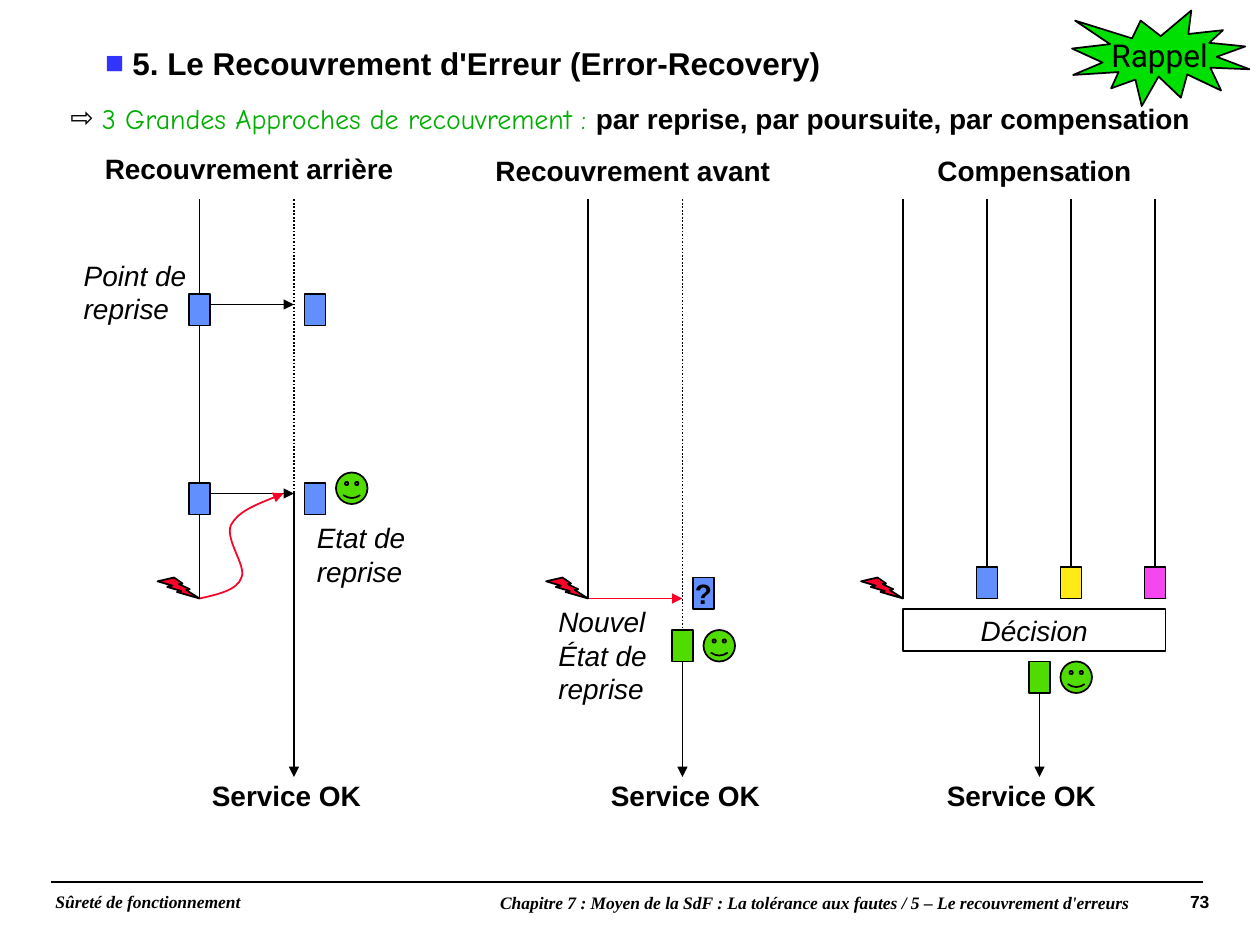
"""Build the slide that compares three error-recovery approaches."""
from lxml import etree
from pptx import Presentation
from pptx import util as u
from pptx.dml.color import RGBColor
from pptx.enum import dml, shapes, text
from pptx.oxml.ns import qn

PX = 7620
BLACK, RED, BLUE, GREEN = "000000", "FC0128", "618FFD", "51DC00"
BOLD, ITALIC = {"bold": True}, {"italic": True}
FOOTER = {"name": "Times New Roman", "size": u.Pt(10), "bold": True, "italic": True}
kind = shapes.MSO_SHAPE
colour = RGBColor.from_string


def px(*lengths):
    return [u.Emu(length * PX) for length in lengths]


def write(para, words, look, ink=BLACK):
    span = para.add_run()
    span.text = words
    for key, value in {"name": "Arial", "size": u.Pt(16), "bold": False, **look}.items():
        setattr(span.font, key, value)
    span.font.color.rgb = colour(ink)


deck = Presentation()
deck.slide_width, deck.slide_height = px(1200, 900)
page = deck.slides.add_slide(deck.slide_layouts[1])
title = page.shapes.title._element
title.getparent().remove(title)

body = page.placeholders[1]
body.left, body.top, body.width, body.height = px(37, 37, 1163, 98)
frame = body.text_frame
frame.auto_size = text.MSO_AUTO_SIZE.NONE
frame.vertical_anchor = text.MSO_ANCHOR.TOP
for side in ("left", "top", "right", "bottom"):
    setattr(frame, f"margin_{side}", px(5)[0])
heading, approaches = frame.paragraphs[0], frame.add_paragraph()
approaches.level = 1
for para, bullet, ink, margin, hang, before, after in [
    (heading, "■", "3333FF", 84, 26, 0, 4),
    (approaches, "⇨", BLACK, 55, 30, 7, 0),
]:
    props = para._p.get_or_add_pPr()
    props.set("marL", str(margin * PX))
    props.set("indent", str(-hang * PX))
    tint = etree.SubElement(props, qn("a:buClr"))
    etree.SubElement(tint, qn("a:srgbClr"), val=ink)
    etree.SubElement(props, qn("a:buFont"), typeface="Arial")
    etree.SubElement(props, qn("a:buChar"), char=bullet)
    para.space_before, para.space_after = u.Pt(before), u.Pt(after)
write(heading, "5. Le Recouvrement d'Erreur (Error-Recovery)", {"size": u.Pt(18), "bold": True})
write(approaches, "3 Grandes Approches de recouvrement : ", {"name": "Comic Neue"}, "00AE00")
write(approaches, "par reprise, par poursuite, par compensation", BOLD)

versions = [(940, BLUE), (1020, "FFEA18"), (1100, "F547EF")]
lines = [
    (49, 840, 1146, 840, BLACK, False, False),
    (280, 190, 280, 470, BLACK, True, False),
    (650, 190, 650, 610, BLACK, True, False),
    (200, 290, 280, 290, BLACK, False, True),
    (200, 470, 280, 470, BLACK, False, True),
    (560, 570, 650, 570, RED, False, True),
]
lines += [(x, 190, x, 570, BLACK, False, False) for x in (190, 560, 860)]
lines += [(x, top, x, 740, BLACK, False, True) for x, top in ((280, 470), (650, 610), (990, 640))]
lines += [(x, 190, x, 570, BLACK, False, False) for x, _ in versions]
connectors = {}
for left, top, right, bottom, ink, dotted, arrow in lines:
    line = page.shapes.add_connector(
        shapes.MSO_CONNECTOR.STRAIGHT, *px(left, top, right, bottom))
    line.line.color.rgb = colour(ink)
    line.line.width = u.Pt(1)
    if dotted:
        line.line.dash_style = dml.MSO_LINE.ROUND_DOT
    props = line._element.spPr
    if arrow:
        etree.SubElement(props.find(qn("a:ln")), qn("a:tailEnd"), type="triangle")
    etree.SubElement(props, qn("a:effectLst"))
    connectors[left, bottom] = line

builder = page.shapes.build_freeform(190, 570, scale=PX)
builder.add_line_segments([
    (208, 566), (226, 562), (230, 550), (235, 539), (214, 514), (220, 500),
    (227, 487), (248, 479), (270, 470)], close=False)
rollback = builder.convert_to_shape()
rollback.shadow.inherit = False
rollback.fill.background()
rollback.line.color.rgb = colour(RED)
rollback.line.width = u.Pt(1)
etree.SubElement(rollback._element.spPr.find(qn("a:ln")), qn("a:tailEnd"), type="triangle")
steps = rollback._element.xpath(".//a:lnTo")
outline = steps[0].getparent()
for index, step in enumerate(steps):
    if index % 3 == 0:
        curve = etree.SubElement(outline, qn("a:cubicBezTo"))
    curve.append(step[0])
    outline.remove(step)

states = [(180, 280, BLUE), (180, 460, BLUE), (290, 280, BLUE), (290, 460, BLUE),
          (640, 600, GREEN), (980, 630, GREEN)]
states += [(x - 10, 540, ink) for x, ink in versions]
figures = [(kind.RECTANGLE, x, y, 20, 30, ink, "", {}) for x, y, ink in states]
figures += [(kind.LIGHTNING_BOLT, x, 550, 40, 20, RED, "", {}) for x in (150, 520, 820)]
figures += [(kind.SMILEY_FACE, x, y, 30, 30, GREEN, "", {})
            for x, y in ((320, 450), (670, 600), (1010, 630))]
figures += [
    (kind.RECTANGLE, 660, 550, 20, 30, BLUE, "?", BOLD),
    (kind.RECTANGLE, 860, 580, 250, 40, None, "Décision", ITALIC),
    (kind.EXPLOSION1, 1021, 10, 169, 91, "00E000", "Rappel",
     {"name": "Roboto", "size": u.Pt(18)}),
]
for preset, left, top, width, height, ink, words, look in figures:
    figure = page.shapes.add_shape(preset, *px(left, top, width, height))
    figure.shadow.inherit = False
    if ink:
        figure.fill.solid()
        figure.fill.fore_color.rgb = colour(ink)
    else:
        figure.fill.background()
    figure.line.color.rgb = colour(BLACK)
    figure.line.width = u.Pt(1)
    if words:
        figure.text_frame.word_wrap = False
        figure.text_frame.vertical_anchor = text.MSO_ANCHOR.MIDDLE
        para = figure.text_frame.paragraphs[0]
        para.alignment = text.PP_ALIGN.CENTER
        write(para, words, look)
    if (left + 10, top + 30) in connectors:
        connectors[left + 10, top + 30].end_connect(figure, 2)

labels = [
    (88, 138, 300, 44, ["Recouvrement arrière"], BOLD),
    (460, 140, 287, 44, ["Recouvrement avant"], BOLD),
    (881, 140, 209, 44, ["Compensation"], BOLD),
    (68, 240, 122, 77, ["Point de", "reprise"], ITALIC),
    (290, 490, 109, 77, ["Etat de", "reprise"], ITALIC),
    (520, 570, 108, 108, ["Nouvel", "État de", "reprise"], ITALIC),
]
labels += [(x, 736, 167, 44, ["Service OK"], BOLD) for x in (190, 570, 890)]
for left, top, width, height, rows, look in labels:
    box = page.shapes.add_textbox(*px(left, top, width, height))
    box.text_frame.word_wrap = False
    box.text_frame.auto_size = text.MSO_AUTO_SIZE.SHAPE_TO_FIT_TEXT
    for index, words in enumerate(rows):
        para = box.text_frame.add_paragraph() if index else box.text_frame.paragraphs[0]
        write(para, words, look)

course = page.shapes.add_textbox(*px(41, 839, 1141, 37))
course.text_frame.word_wrap = True
para = course.text_frame.paragraphs[0]
para.line_spacing = 0.9
tabs = etree.SubElement(para._p.get_or_add_pPr(), qn("a:tabLst"))
etree.SubElement(tabs, qn("a:tab"), pos=str(1099 * PX), algn="r")
write(para, "Sûreté de fonctionnement", FOOTER)
write(para, "\t", {"size": u.Pt(14), "bold": True})
write(para, "73", {"size": u.Pt(10), "bold": True})

chapter = page.shapes.add_textbox(*px(456, 845, 624, 30))
frame = chapter.text_frame
frame.word_wrap = True
for side in ("left", "top", "right", "bottom"):
    setattr(frame, f"margin_{side}", px(5)[0])
para = frame.paragraphs[0]
para.alignment = text.PP_ALIGN.RIGHT
write(para, "Chapitre 7 : Moyen de la SdF : La tolérance aux fautes / "
      "5 – Le recouvrement d'erreurs", FOOTER)

deck.save("out.pptx")
